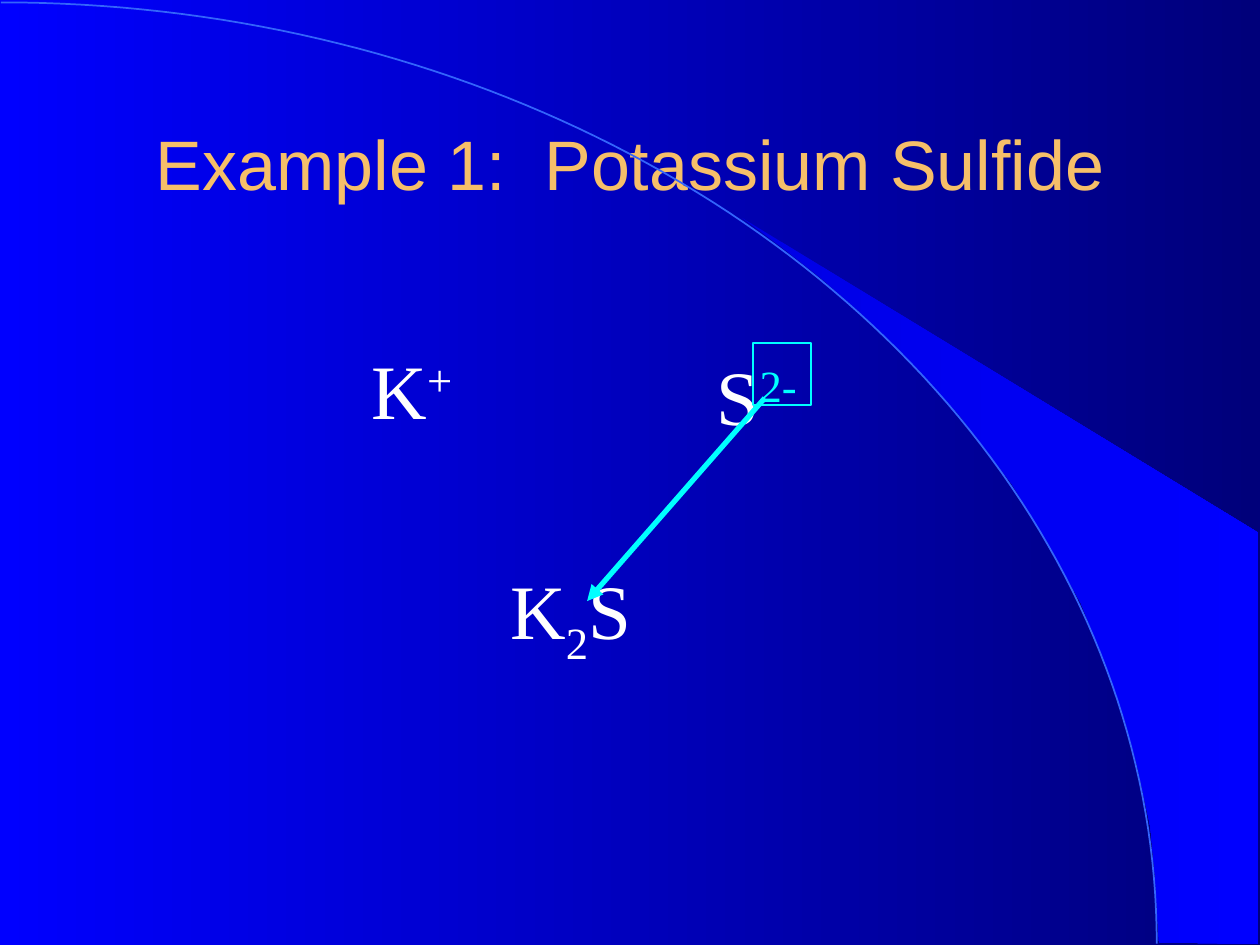
import math

import pptx
import pptx.dml.color
import pptx.enum.shapes
import pptx.enum.text
import pptx.oxml.xmlchemy
import pptx.util

Pt = pptx.util.Pt
RGBColor = pptx.dml.color.RGBColor

BLUE = RGBColor(0x00, 0x00, 0xFF)
NAVY = RGBColor(0x00, 0x00, 0x7A)
BAND_BLUE = RGBColor(0x00, 0x00, 0xE5)
ARC_BLUE = RGBColor(0x33, 0x65, 0xFB)
GOLD = RGBColor(0xF6, 0xBF, 0x69)
WHITE = RGBColor(0xFF, 0xFF, 0xFF)
CYAN = RGBColor(0x00, 0xFF, 0xFF)

SUPERSCRIPT = 30
SUBSCRIPT = -25

BAND_OUTLINE = [
    (662.4, 538.6), (719.3, 539.3), (719.3, 304.6), (424.1, 124.6),
    (449.3, 143.3), (470.2, 159.8), (493.2, 180), (515.5, 201.6),
    (548.6, 237.6), (578.2, 276.5), (599, 310.3), (617.8, 344.9),
    (632.2, 380.2), (643, 411.8), (650.2, 438.5), (657.4, 472.3),
    (660.2, 501.1),
]


def set_gradient(fill, start_color, end_color):
    """Fill from left to right."""
    fill.gradient()
    fill.gradient_angle = 0
    for stop, color in zip(fill.gradient_stops, (start_color, end_color)):
        stop.color.rgb = color


def set_line(shape, color, width):
    shape.line.color.rgb = color
    shape.line.width = Pt(width)


def add_text(paragraph, text, font="Times New Roman", size=44, color=WHITE, baseline=0):
    run = paragraph.add_run()
    run.text = text
    run.font.name = font
    run.font.size = Pt(size)
    run.font.color.rgb = color
    if baseline:
        run.font._element.set("baseline", str(baseline * 1000))


def add_outline(slide, points, close):
    points = [(Pt(x), Pt(y)) for x, y in points]
    builder = slide.shapes.build_freeform(*points[0])
    builder.add_line_segments(points[1:], close=close)
    shape = builder.convert_to_shape()
    shape.shadow.inherit = False
    return shape


def add_backdrop(slide, left, top, width, height):
    """Gradient background, light band and a quarter ellipse in the given box."""
    set_gradient(slide.background.fill, BLUE, NAVY)

    band = add_outline(slide, BAND_OUTLINE, close=True)
    set_gradient(band.fill, BAND_BLUE, BLUE)
    band.line.fill.background()

    steps = 90
    angles = [math.pi / 2 * step / steps for step in range(steps + 1)]
    curve = [
        (left + width * math.sin(angle), top + height * (1 - math.cos(angle)))
        for angle in angles
    ]
    arc = add_outline(slide, curve, close=False)
    arc.fill.background()
    set_line(arc, ARC_BLUE, 1)


def add_title(slide, left, top, width, height):
    title = slide.shapes.title
    title.left, title.top = Pt(left), Pt(top)
    title.width, title.height = Pt(width), Pt(height)
    title.text_frame.vertical_anchor = pptx.enum.text.MSO_ANCHOR.MIDDLE
    paragraph = title.text_frame.paragraphs[0]
    paragraph.alignment = pptx.enum.text.PP_ALIGN.CENTER
    add_text(paragraph, "Example 1:  Potassium Sulfide", font="Arial", size=40, color=GOLD)


def add_formula(slide, left, top, width, height, parts):
    """Write (text, format) parts on one line."""
    box = slide.shapes.add_textbox(Pt(left), Pt(top), Pt(width), Pt(height))
    box.text_frame.word_wrap = True
    box.text_frame.margin_top = Pt(8.4)
    for text, text_format in parts:
        add_text(box.text_frame.paragraphs[0], text, **text_format)


def add_charge_frame(slide, left, top, width, height):
    frame = slide.shapes.add_shape(
        pptx.enum.shapes.MSO_SHAPE.RECTANGLE, Pt(left), Pt(top), Pt(width), Pt(height)
    )
    frame.shadow.inherit = False
    frame.fill.background()
    set_line(frame, CYAN, 1)


def add_arrow(slide, start, end):
    arrow = slide.shapes.add_connector(
        pptx.enum.shapes.MSO_CONNECTOR.STRAIGHT,
        Pt(start[0]), Pt(start[1]), Pt(end[0]), Pt(end[1]),
    )
    set_line(arrow, CYAN, 3)
    head = pptx.oxml.xmlchemy.OxmlElement("a:tailEnd")
    head.set("type", "triangle")
    arrow.line._get_or_add_ln().append(head)
    arrow._element.spPr.append(pptx.oxml.xmlchemy.OxmlElement("a:effectLst"))


def main():
    presentation = pptx.Presentation()
    presentation.slide_width = Pt(720)
    presentation.slide_height = Pt(540)
    slide = presentation.slides.add_slide(presentation.slide_layouts[5])

    add_backdrop(slide, 0.5, 1.4, 660.5, 537.9)
    add_title(slide, 54, 48, 612, 90)
    add_formula(slide, 205.2, 187.2, 87, 60,
                [("K", {}), ("+", {"baseline": SUPERSCRIPT})])
    add_formula(slide, 402.5, 190.8, 70, 60,
                [("S", {}), ("2-", {"baseline": SUPERSCRIPT, "color": CYAN})])
    add_formula(slide, 284.4, 313.2, 95, 60,
                [("K", {}), ("2", {"baseline": SUBSCRIPT}), ("S", {})])
    add_charge_frame(slide, 430.5, 196, 33, 35.5)
    add_arrow(slide, (437, 227.5), (335.5, 343.5))

    presentation.save("out.pptx")


if __name__ == "__main__":
    main()
